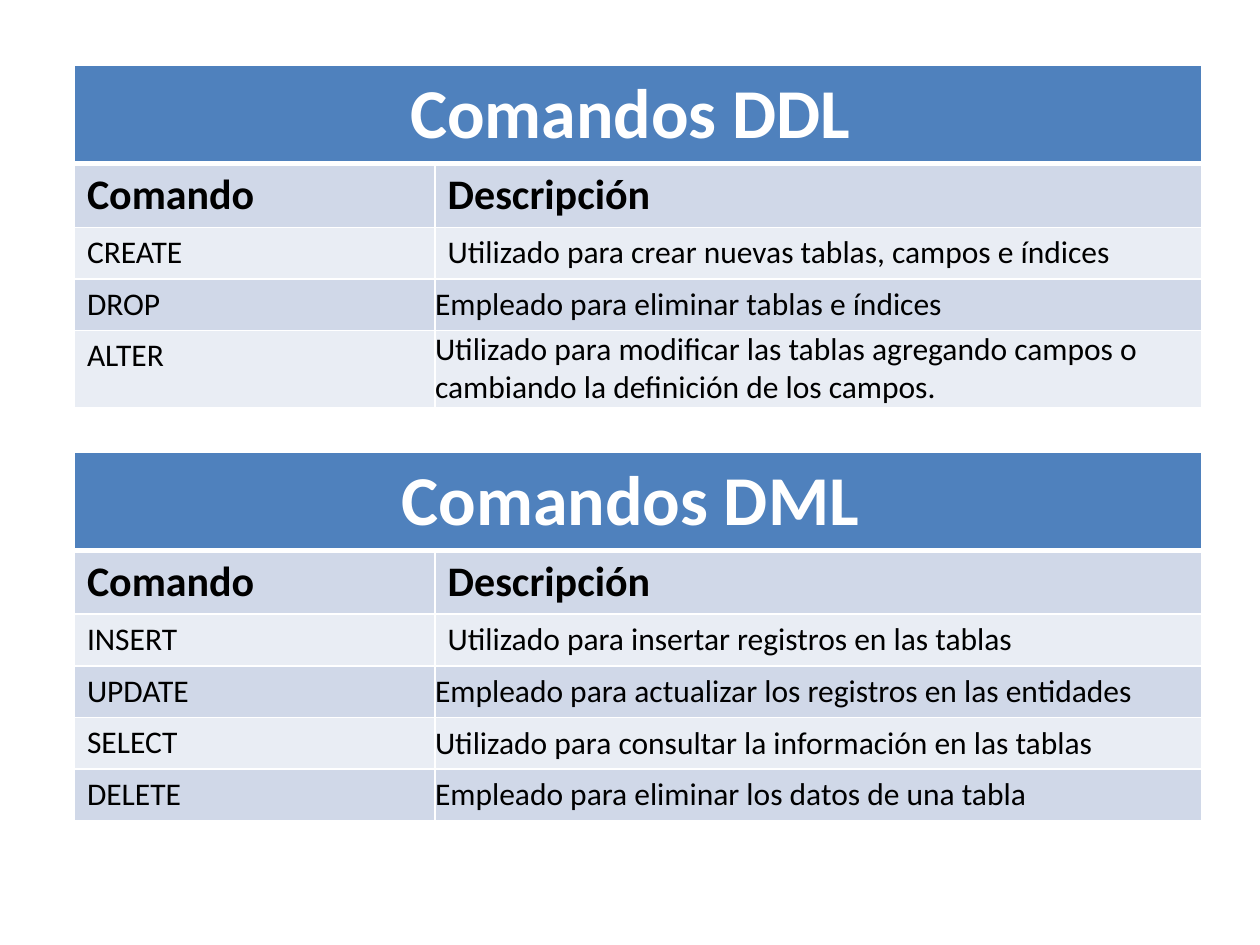
from dataclasses import dataclass

from lxml import etree
from pptx import Presentation
from pptx.dml.color import RGBColor
from pptx.enum.text import MSO_ANCHOR, PP_ALIGN
from pptx.oxml.ns import qn
from pptx.util import Cm, Pt

CENTER, LEFT = PP_ALIGN.CENTER, PP_ALIGN.LEFT
TOP, MIDDLE = MSO_ANCHOR.TOP, MSO_ANCHOR.MIDDLE


@dataclass(frozen=True)
class Theme:
    font: str = "Calibri"
    title: int = 40
    head: int = 24
    body: int = 18
    white: str = "FFFFFF"
    black: str = "000000"
    blue: str = "4F81BD"
    dark: str = "D0D8E8"
    light: str = "E9EDF4"
    thin: int = 1
    thick: int = 3


THEME = Theme()
COLS = (Cm(7.27), Cm(15.46))
ROW = Cm(1.04)

DDL = (
    ("CREATE", "Utilizado para crear nuevas tablas, campos e índices"),
    ("DROP", "Empleado para eliminar tablas e índices"),
    ("ALTER", "Utilizado para modificar las tablas agregando campos o "
              "cambiando la definición de los campos."),
)
DML = (
    ("INSERT", "Utilizado para insertar registros en las tablas"),
    ("UPDATE", "Empleado para actualizar los registros en las entidades"),
    ("SELECT", "Utilizado para consultar la información en las tablas"),
    ("DELETE", "Empleado para eliminar los datos de una tabla"),
)


def set_edges(cell, top, bottom):
    """Draw white cell borders; top and bottom are widths in points."""
    props = cell._tc.get_or_add_tcPr()
    sides = (("L", THEME.thin), ("R", THEME.thin), ("T", top), ("B", bottom))
    for pos, (side, width) in enumerate(sides):
        line = etree.Element(qn(f"a:ln{side}"), w=str(Pt(width)))
        fill = etree.SubElement(line, qn("a:solidFill"))
        etree.SubElement(fill, qn("a:srgbClr"), val=THEME.white)
        props.insert(pos, line)


def style_cell(cell, fill, size, color, bold=False, align=LEFT,
               top=THEME.thin, bottom=THEME.thin):
    cell.fill.solid()
    cell.fill.fore_color.rgb = RGBColor.from_string(fill)
    cell.vertical_anchor = TOP
    para = cell.text_frame.paragraphs[0]
    para.alignment = align
    font = para.font
    font.name, font.size, font.bold = THEME.font, Pt(size), bold
    font.color.rgb = RGBColor.from_string(color)
    set_edges(cell, top, bottom)


def clear_margins(cell):
    cell.margin_left = cell.margin_right = 0
    cell.margin_top = cell.margin_bottom = 0
    cell.vertical_anchor = MIDDLE


def add_commands(slide, title, items, left, top, height):
    """Add a titled two-column table of commands."""
    rows = [(title, ""), ("Comando", "Descripción"), *items]
    frame = slide.shapes.add_table(len(rows), 2, left, top, sum(COLS), height)
    table = frame.table
    for col, width in zip(table.columns, COLS):
        col.width = width
    for row in table.rows:
        row.height = ROW
    frame.height = height
    table.cell(0, 0).merge(table.cell(0, 1))

    for r, texts in enumerate(rows):
        band = THEME.dark if r % 2 else THEME.light
        for c, text in enumerate(texts):
            cell = table.cell(r, c)
            cell.text = text
            if r == 0:
                style_cell(cell, THEME.blue, THEME.title, THEME.white,
                           bold=True, align=CENTER, bottom=THEME.thick)
            elif r == 1:
                style_cell(cell, band, THEME.head, THEME.black,
                           bold=True, top=THEME.thick)
            else:
                style_cell(cell, band, THEME.body, THEME.black)
            if r > 2 and c == 1:
                clear_margins(cell)


def main():
    deck = Presentation()
    deck.slide_width, deck.slide_height = Cm(25.4), Cm(19.05)
    slide = deck.slides.add_slide(deck.slide_layouts[6])
    left = Cm(1.5)
    add_commands(slide, "Comandos DDL ", DDL, left, Cm(1.32), Cm(6.81))
    add_commands(slide, "Comandos DML ", DML, left, Cm(9.12), Cm(7.34))
    deck.save("out.pptx")


if __name__ == "__main__":
    main()
